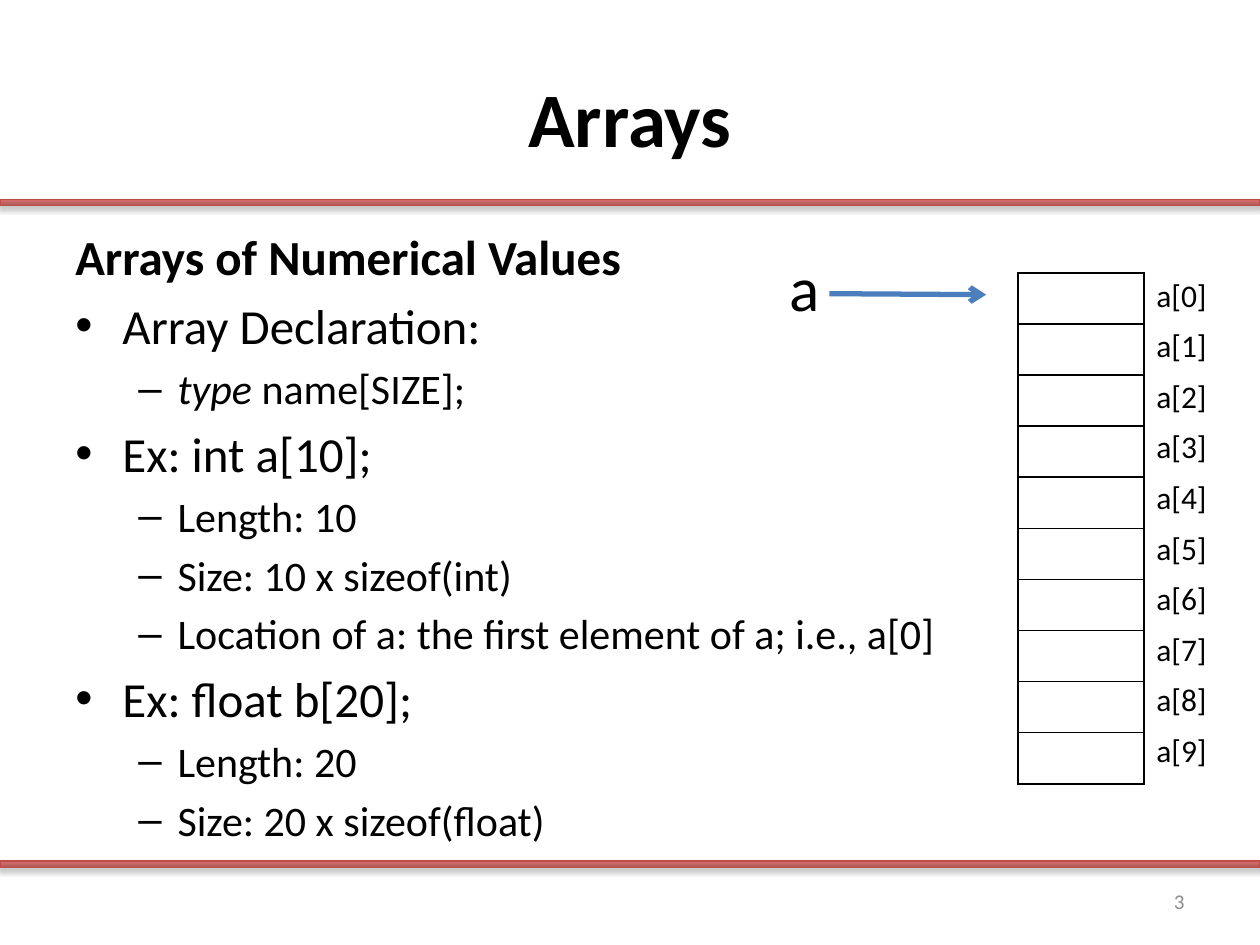
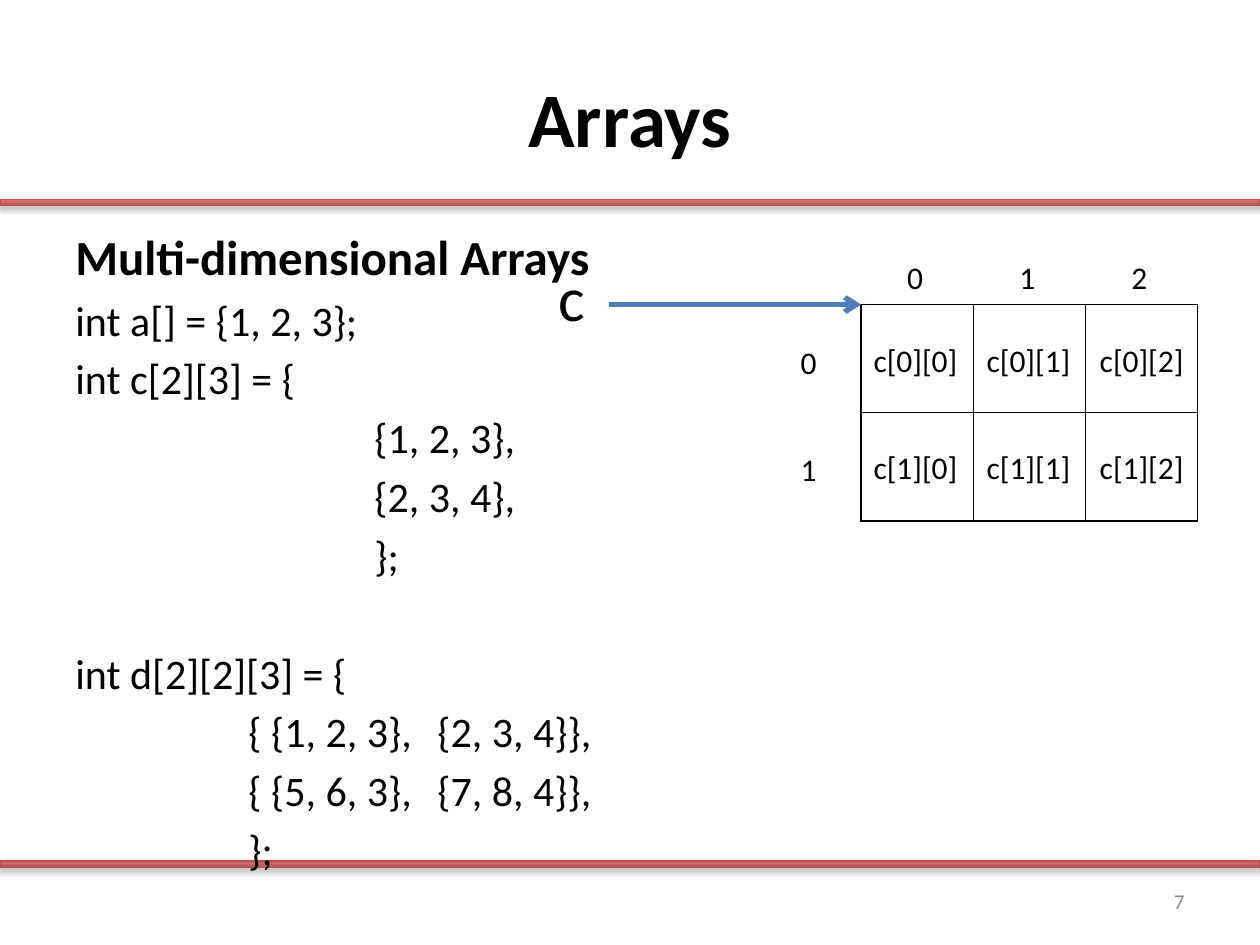
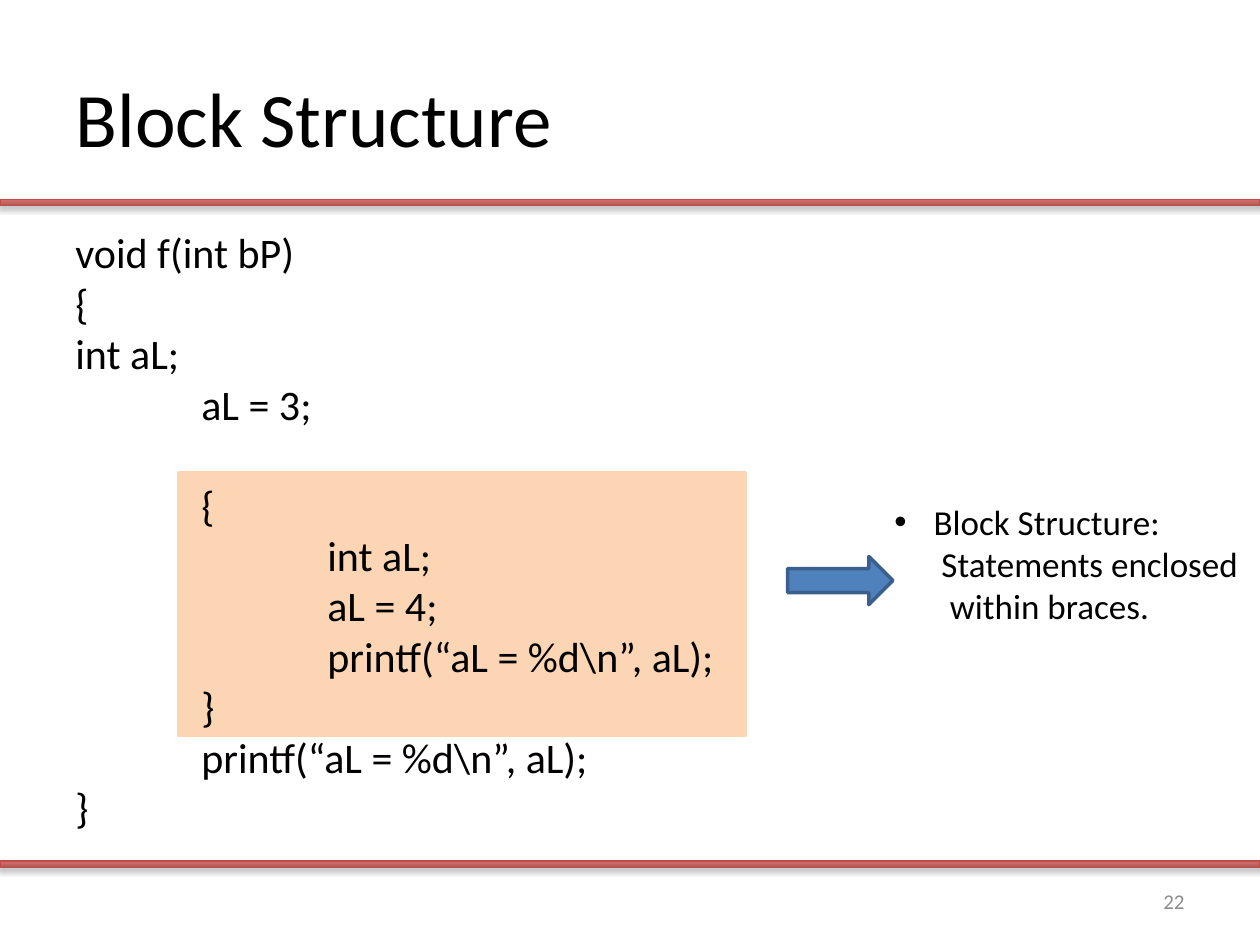
"""Build three lecture slides on arrays and block structure."""
from dataclasses import dataclass
from typing import Sequence

from lxml import etree
from pptx import Presentation
from pptx.dml.color import RGBColor
from pptx.enum import shapes as kinds, text as marks
from pptx.oxml import parse_xml
from pptx.oxml.ns import nsdecls, qn
from pptx.util import Cm, Pt

BLACK = RGBColor(0, 0, 0)
GREY = RGBColor(0x8C, 0x8C, 0x8C)
RED = RGBColor(0xBF, 0x4C, 0x48)
BLUE = RGBColor(0x4F, 0x81, 0xBD)
NAVY = RGBColor(0x3A, 0x5F, 0x8C)
SKY = RGBColor(0x4B, 0x7E, 0xBC)
PEACH = RGBColor(0xFC, 0xD5, 0xB5)
BAND_STOPS = ((0, "9C2F2D"), (80, "CB3E3A"), (100, "CE3B37"))
FONT = "Calibri"
LEFT, CENTER, RIGHT = (marks.PP_ALIGN.LEFT, marks.PP_ALIGN.CENTER, marks.PP_ALIGN.RIGHT)
TOP, MIDDLE = marks.MSO_ANCHOR.TOP, marks.MSO_ANCHOR.MIDDLE
LABEL = 1.02
ROW_GAP = 28.9


@dataclass(frozen=True)
class Box:
    """Hold a place on the slide in centimetres."""
    left: float
    top: float
    width: float
    height: float

    def emu(self) -> tuple:
        """Return the four lengths."""
        return tuple(Cm(n) for n in (self.left, self.top, self.width, self.height))


@dataclass(frozen=True)
class Line:
    """Hold one paragraph, its indents in centimetres and its gap in points."""
    words: str
    size: float = 24
    left: float = 0
    hang: float = 0
    gap: float = 0
    bullet: str = ""
    bold: bool = False
    lead: str = ""


TITLE = Box(1.27, 0.76, 22.86, 3.18)
BODY = Box(1.27, 4.45, 22.86, 12.57)
PAGE = Box(18.21, 17.65, 5.92, LABEL)
BANDS = [Box(0, top, 25.4, 0.13) for top in (4.02, 17.36)]


def head(words: str) -> Line:
    """Return a bold heading."""
    return Line(words, 28, bold=True)


def item(words: str) -> Line:
    """Return a first-level bullet."""
    return Line(words, 28, 0.95, 0.95, 5.6, "•")


def sub(words: str, lead: str = "") -> Line:
    """Return a second-level bullet."""
    return Line(words, 24, 2.06, 0.79, 4.8, "–", lead=lead)


def code(words: str, left: float = 0, gap: float = 4.8) -> Line:
    """Return a line of code."""
    return Line(words, 24, left, gap=gap)


def put(para, words: str, *, size: float = 18, ink: RGBColor = BLACK,
        bold: bool = False, italic: bool = False, align=LEFT) -> None:
    """Add formatted text to a paragraph."""
    para.alignment = align
    run = para.add_run()
    run.text = words
    font = run.font
    font.name, font.size, font.bold, font.italic = FONT, Pt(size), bold, italic
    font.color.rgb = ink


def frame(slide, box: Box, anchor=TOP):
    """Add a wrapped text box and return its frame."""
    area = slide.shapes.add_textbox(*box.emu()).text_frame
    area.word_wrap = True
    area.vertical_anchor = anchor
    return area


def label(slide, words: str, box: Box, *, anchor=TOP, **form) -> None:
    """Add a one-line text."""
    put(frame(slide, box, anchor).paragraphs[0], words, **form)


def prose(slide, box: Box, lines: Sequence[Line]) -> None:
    """Add a text box of several paragraphs."""
    area = frame(slide, box)
    for n, line in enumerate(lines):
        para = area.add_paragraph() if n else area.paragraphs[0]
        para.space_before = Pt(line.gap)
        props = para._p.get_or_add_pPr()
        props.set("marL", str(Cm(line.left)))
        props.set("indent", str(-Cm(line.hang)))
        if line.bullet:
            face = etree.SubElement(props, qn("a:buFont"))
            face.set("typeface", "Arial")
            etree.SubElement(props, qn("a:buChar")).set("char", line.bullet)
        if line.lead:
            put(para, line.lead, size=line.size, italic=True)
        put(para, line.words, size=line.size, bold=line.bold)


def block(slide, kind, box: Box, fill: RGBColor, edge: RGBColor, width: float = 2):
    """Add a filled preset shape."""
    shape = slide.shapes.add_shape(kind, *box.emu())
    shape.shadow.inherit = False
    shape.fill.solid()
    shape.fill.fore_color.rgb = fill
    shape.line.color.rgb = edge
    shape.line.width = Pt(width)
    return shape


def band(deck, slide, box: Box) -> None:
    """Draw a shaded band and hand it to the slide master."""
    shape = block(slide, kinds.MSO_SHAPE.RECTANGLE, box, RED, RED, 0.75)
    props = shape.element.spPr
    stops = "".join(
        f'<a:gs pos="{at * 1000}"><a:srgbClr val="{ink}"><a:alpha val="73000"/></a:srgbClr></a:gs>'
        for at, ink in BAND_STOPS)
    props.replace(props.find(qn("a:solidFill")), parse_xml(
        f'<a:gradFill {nsdecls("a")} rotWithShape="1"><a:gsLst>{stops}</a:gsLst>'
        '<a:lin ang="16200000" scaled="0"/></a:gradFill>'))
    props.find(qn("a:effectLst")).append(parse_xml(
        f'<a:outerShdw {nsdecls("a")} blurRad="{Pt(3.1)}" dist="{Pt(1.8)}" dir="5400000" '
        'rotWithShape="0"><a:srgbClr val="000000"><a:alpha val="35000"/></a:srgbClr></a:outerShdw>'))
    deck.slide_master.shapes.element.insert(2, shape.element)


def arrow(slide, start: tuple, end: tuple) -> None:
    """Draw an arrow between two points."""
    link = slide.shapes.add_connector(
        kinds.MSO_CONNECTOR.STRAIGHT, *(Cm(n) for n in start + end))
    link.line.color.rgb = SKY
    link.line.width = Pt(3)
    etree.SubElement(link.line._get_or_add_ln(), qn("a:tailEnd")).set("type", "arrow")
    etree.SubElement(link.element.spPr, qn("a:effectLst"))


def grid(slide, rows: int, cols: int, box: Box) -> None:
    """Add an empty table with black cell borders."""
    table = slide.shapes.add_table(rows, cols, *box.emu()).table
    table.first_row = table.horz_banding = False
    for row in table.rows:
        row.height = Cm(box.height / rows)
    for col in table.columns:
        col.width = Cm(box.width / cols)
    for cell in table.iter_cells():
        props = cell._tc.get_or_add_tcPr()
        for side in ("lnL", "lnR", "lnT", "lnB"):
            props.append(parse_xml(
                f'<a:{side} {nsdecls("a")} w="{Pt(1)}"><a:solidFill>'
                f'<a:srgbClr val="{BLACK}"/></a:solidFill></a:{side}>'))
        cell.fill.background()


def page(deck, title: str, number: int, *, bold: bool = True, align=CENTER):
    """Add a slide with its title and number."""
    slide = deck.slides.add_slide(deck.slide_layouts[5])
    name = slide.shapes.title
    name.left, name.top, name.width, name.height = TITLE.emu()
    name.text_frame.vertical_anchor = MIDDLE
    put(name.text_frame.paragraphs[0], title, size=44, bold=bold, align=align)
    label(slide, str(number), PAGE, anchor=MIDDLE, size=12, ink=GREY, align=RIGHT)
    return slide


def values(deck):
    """Build the slide on arrays of numbers."""
    slide = page(deck, "Arrays", 3)
    prose(slide, BODY, [
        head("Arrays of Numerical Values"),
        item("Array Declaration:"),
        sub(" name[SIZE];", lead="type"),
        item("Ex: int a[10];"),
        sub("Length: 10"),
        sub("Size: 10 x sizeof(int)"),
        sub("Location of a: the first element of a; i.e., a[0]"),
        item("Ex: float b[20];"),
        sub("Length: 20"),
        sub("Size: 20 x sizeof(float)"),
    ])
    grid(slide, 10, 1, Box(20.52, 5.5, 2.54, 10.3))
    arrow(slide, (16.72, 5.92), (19.88, 5.94))
    label(slide, "a", Box(15.67, 4.88, 1.12, 1.8), size=36)
    for n in range(10):
        label(slide, f"a[{n}]", Box(23.06, 5.43 + LABEL * n, 1.6, LABEL))
    return slide


def multi(deck) -> None:
    """Build the slide on arrays of several dimensions."""
    slide = page(deck, "Arrays", 7)
    prose(slide, BODY, [
        head("Multi-dimensional Arrays"),
        code("int a[] = {1, 2, 3};"),
        code("int c[2][3] = {"),
        *(code(words, 6.03) for words in ("{1, 2, 3},", "{2, 3, 4},", "};")),
        code("int d[2][2][3] = {", gap=ROW_GAP + 9.6),
        *(code(words, 3.49) for words in
          ("{ {1, 2, 3},\t{2, 3, 4}},", "{ {5, 6, 3},\t{7, 8, 4}},", "};")),
    ])
    grid(slide, 2, 3, Box(17.36, 6.14, 6.78, 4.36))
    arrow(slide, (12.28, 6.14), (17.36, 6.14))
    label(slide, "c", Box(11, 5.08, 1.12, 1.8), size=36)
    for row in range(2):
        top = 6.76 + 2.15 * row
        label(slide, str(row), Box(15.89, top + 0.04, 1.55, LABEL))
        for col in range(3):
            label(slide, f"c[{row}][{col}]", Box(17.36 + 2.28 * col, top, 2.39, LABEL))
    for col in range(3):
        label(slide, str(col), Box(18.04 + 2.26 * col, 5.08, 1.55, LABEL))


def scope(deck) -> None:
    """Build the slide on block structure."""
    slide = page(deck, "Block Structure", 22, bold=False, align=LEFT)
    block(slide, kinds.MSO_SHAPE.RECTANGLE, Box(3.6, 9.53, 11.43, 5.29), PEACH, PEACH)
    tab = 2.54
    prose(slide, BODY, [
        code("void f(int bP)", gap=0),
        code("{", gap=0),
        code("int aL;", gap=0),
        code("aL = 3;", tab, 0),
        code("{", tab, ROW_GAP),
        code("int aL;", 2 * tab, 0),
        code("aL = 4;", 2 * tab, 0),
        code("printf(“aL = %d\\n”, aL);", 2 * tab, 0),
        code("}", tab, 0),
        code("printf(“aL = %d\\n”, aL);", tab, 0),
        code("}", gap=0),
    ])
    block(slide, kinds.MSO_SHAPE.RIGHT_ARROW, Box(15.88, 11.22, 2.12, 0.97), BLUE, NAVY)
    prose(slide, Box(17.78, 9.96, 7.52, 3.68), [
        Line("Block Structure:", 20, 0.79, 0.79, bullet="•"),
        Line("Statements enclosed", 20, 0.95),
        Line("within braces.", 20, 1.12),
    ])


def main() -> None:
    """Build and save the deck."""
    deck = Presentation()
    deck.slide_width, deck.slide_height = Cm(25.4), Cm(19.05)
    first = values(deck)
    for box in BANDS:
        band(deck, first, box)
    multi(deck)
    scope(deck)
    deck.save("out.pptx")


if __name__ == "__main__":
    main()
